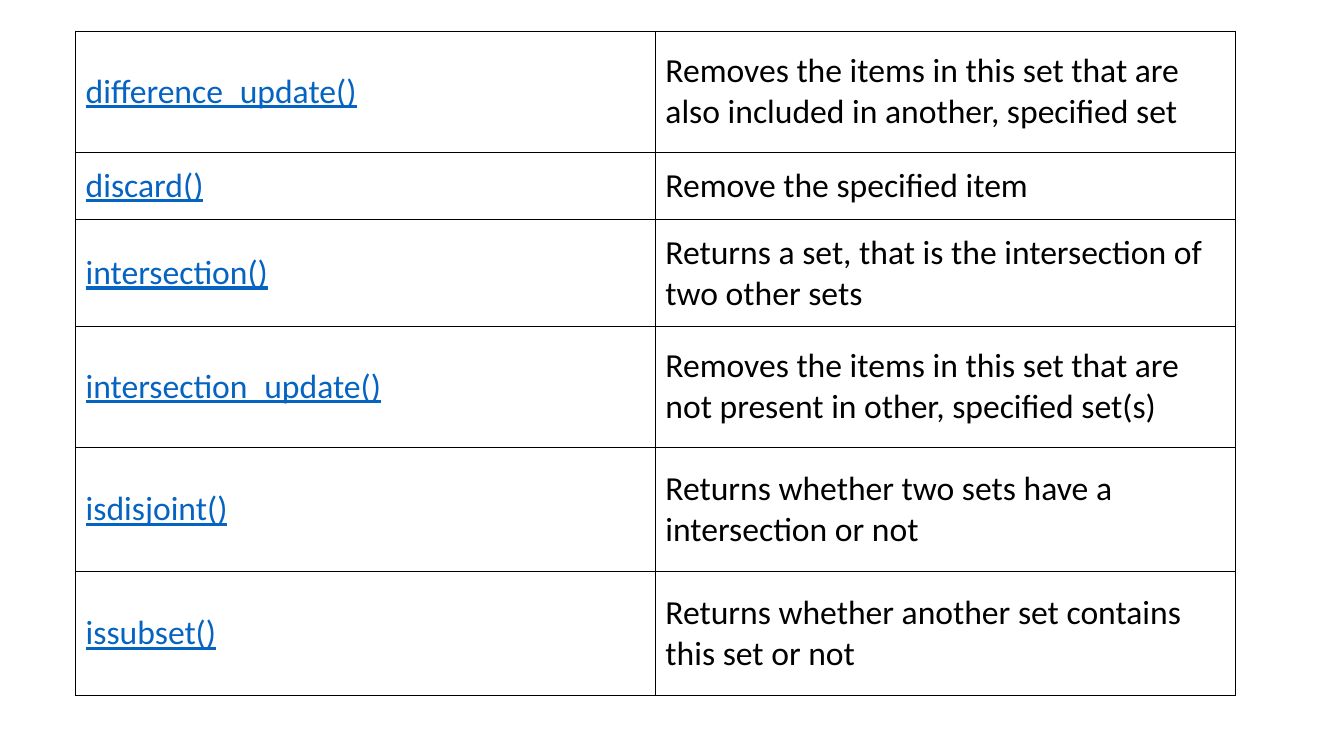
from dataclasses import dataclass

from lxml.etree import SubElement
from pptx import Presentation
from pptx.dml.color import RGBColor
from pptx.enum.text import MSO_ANCHOR
from pptx.oxml.ns import qn
from pptx.util import Inches, Pt


@dataclass(frozen=True)
class Theme:
    font: str = "Calibri"
    text_size: int = 24
    text_color: str = "000000"
    method_color: str = "0563C1"
    border_color: str = "000000"
    border_width: int = 1


THEME = Theme()
BLANK_LAYOUT = 6
TABLE_BOX = (0.75, 0.31, 11.5, 6.59)
SET_METHODS = [
    ("difference_update()", "Removes the items in this set that are also included in another, specified set", 1.2),
    ("discard()", "Remove the specified item", 0.67),
    ("intersection()", "Returns a set, that is the intersection of two other sets", 1.06),
    ("intersection_update()", "Removes the items in this set that are not present in other, specified set(s)", 1.2),
    ("isdisjoint()", "Returns whether two sets have a intersection or not", 1.23),
    ("issubset()", "Returns whether another set contains this set or not", 1.23),
]


def add_borders(cell):
    properties = cell._tc.get_or_add_tcPr()
    for side in ("a:lnL", "a:lnR", "a:lnT", "a:lnB"):
        line = SubElement(properties, qn(side), w=str(Pt(THEME.border_width)))
        fill = SubElement(line, qn("a:solidFill"))
        SubElement(fill, qn("a:srgbClr"), val=THEME.border_color)


def fill_cell(cell, text, color, underline):
    add_borders(cell)
    cell.fill.background()
    cell.vertical_anchor = MSO_ANCHOR.MIDDLE
    run = cell.text_frame.paragraphs[0].add_run()
    run.text = text
    run.font.name = THEME.font
    run.font.size = Pt(THEME.text_size)
    run.font.bold = False
    run.font.underline = underline
    run.font.color.rgb = RGBColor.from_string(color)


def add_method_table(slide, box, methods):
    left, top, width, height = box
    frame = slide.shapes.add_table(
        len(methods), 2, Inches(left), Inches(top), Inches(width), Inches(height)
    )
    table = frame.table
    table.first_row = False
    table.horz_banding = False
    for column in table.columns:
        column.width = Inches(width / 2)
    total_share = sum(share for _, _, share in methods)
    for row, (method, description, share) in zip(table.rows, methods):
        row.height = Inches(height * share / total_share)
        method_cell, description_cell = row.cells
        fill_cell(method_cell, method, THEME.method_color, True)
        fill_cell(description_cell, description, THEME.text_color, False)


def main():
    presentation = Presentation()
    presentation.slide_width = Inches(13.33)
    presentation.slide_height = Inches(7.5)
    slide = presentation.slides.add_slide(presentation.slide_layouts[BLANK_LAYOUT])
    add_method_table(slide, TABLE_BOX, SET_METHODS)
    presentation.save("out.pptx")


if __name__ == "__main__":
    main()
